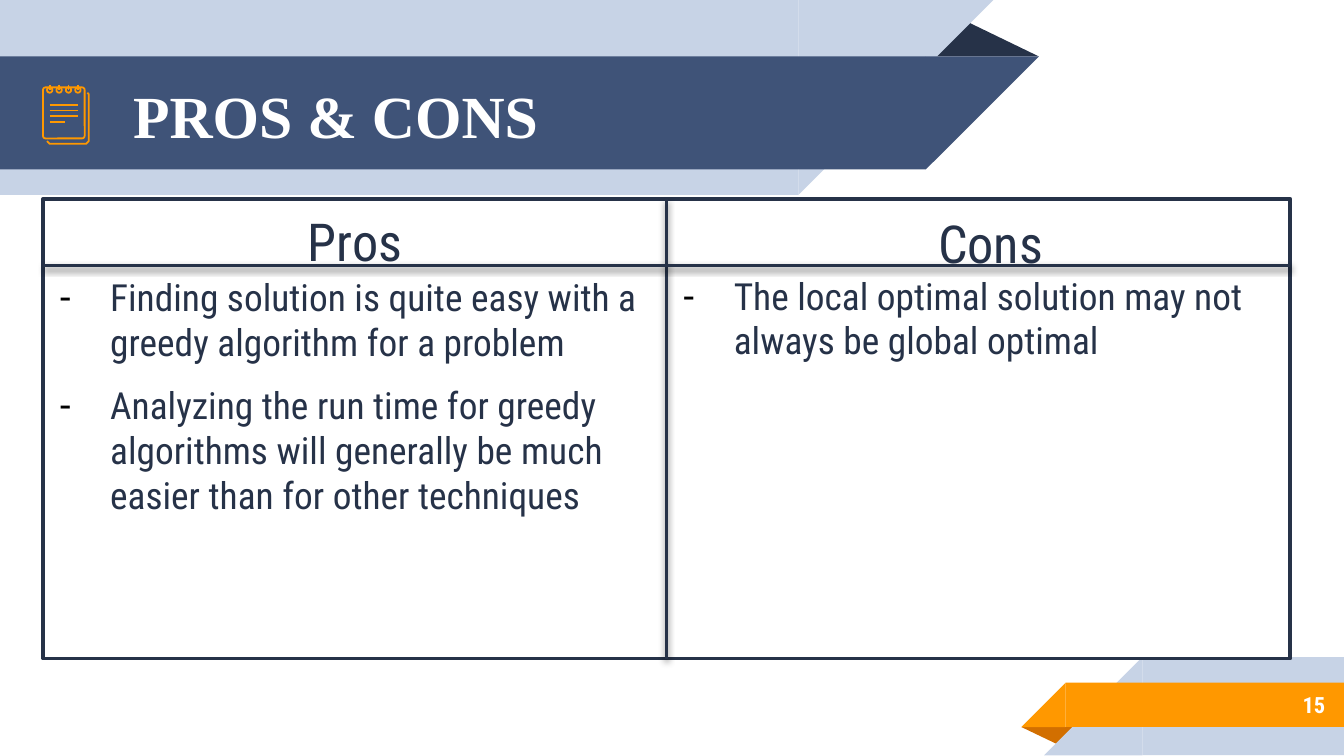
from dataclasses import dataclass

from lxml import etree
from pptx import Presentation
from pptx.dml.color import RGBColor
from pptx.enum.shapes import MSO_CONNECTOR, MSO_SHAPE
from pptx.enum.text import MSO_ANCHOR, MSO_AUTO_SIZE, PP_ALIGN
from pptx.oxml.ns import qn
from pptx.util import Inches, Pt

COLOURS = {"navy": "263248", "blue": "3F5378", "pale": "C7D3E6", "orange": "FF9800",
           "rust": "D26F00", "white": "FFFFFF", "black": "000000"}
RECTANGLE, ROUNDED = MSO_SHAPE.RECTANGLE, MSO_SHAPE.ROUNDED_RECTANGLE
RIGHT_TRIANGLE, TRIANGLE, OVAL = MSO_SHAPE.RIGHT_TRIANGLE, MSO_SHAPE.ISOSCELES_TRIANGLE, MSO_SHAPE.OVAL
STRAIGHT = MSO_CONNECTOR.STRAIGHT
TOP, MIDDLE = MSO_ANCHOR.TOP, MSO_ANCHOR.MIDDLE
LEFT, RIGHT = PP_ALIGN.LEFT, PP_ALIGN.RIGHT
FIXED, GROW = MSO_AUTO_SIZE.NONE, MSO_AUTO_SIZE.SHAPE_TO_FIT_TEXT
COMPARISON_LAYOUT = 4
SLIDE_WIDTH = Inches(10)
SLIDE_HEIGHT = SLIDE_WIDTH * 9 // 16
UNIT = SLIDE_WIDTH / 100
SANS, SERIF = "Roboto Condensed", "Times New Roman"

TITLE_FORMAT = {"name": SERIF, "size": Pt(32), "bold": True}
NUMBER_FORMAT = {"name": SANS, "size": Pt(12), "bold": True}
HEADING_FORMAT = {"name": SANS, "size": Pt(28), "bold": False}
LIST_FORMAT = {"name": SANS, "size": Pt(20), "bold": False}


@dataclass
class Box:
    """An area measured in hundredths of the slide's width."""
    left: float
    top: float
    width: float
    height: float

    def inner(self, left, top, width, height):
        """Return an area offset from this one's corner."""
        return Box(self.left + left, self.top + top, width, height)

    def lengths(self):
        """Return left, top, width and height as slide lengths."""
        return [round(value * UNIT) for value in (self.left, self.top, self.width, self.height)]


def colour(name):
    """Return a palette colour."""
    return RGBColor.from_string(COLOURS[name])


def set_paint(shape, fill=None, line=None, weight=0.96):
    """Set fill and outline, and remove the shadow."""
    shape.shadow.inherit = False
    if fill:
        shape.fill.solid()
        shape.fill.fore_color.rgb = colour(fill)
    else:
        shape.fill.background()
    if line:
        shape.line.color.rgb = colour(line)
        shape.line.width = Pt(weight)
    else:
        shape.line.fill.background()


def add_plain(shapes, kind, box, **paint):
    """Add a painted preset shape."""
    shape = shapes.add_shape(kind, *box.lengths())
    set_paint(shape, **paint)
    return shape


def add_rule(shapes, start, end, line, weight=0.96, shadowed=False):
    """Add a straight line between two grid points."""
    rule = shapes.add_connector(STRAIGHT, *[round(value * UNIT) for value in (*start, *end)])
    rule.line.color.rgb = colour(line)
    rule.line.width = Pt(weight)
    effects = etree.SubElement(rule._element.spPr, qn("a:effectLst"))
    if shadowed:
        shadow = etree.SubElement(effects, qn("a:outerShdw"), blurRad="40000", dist="20000",
                                  dir="5400000", rotWithShape="0")
        tint = etree.SubElement(shadow, qn("a:srgbClr"), val=COLOURS["black"])
        etree.SubElement(tint, qn("a:alpha"), val="38000")


def add_ribbon(shapes, box, fill, points_right):
    """Draw a band whose free end is cut at 45 degrees."""
    slope, body = box.height, box.width - box.height
    body_left, end_left = (0, body) if points_right else (slope, 0)
    add_plain(shapes, RECTANGLE, box.inner(body_left, 0, body, slope), fill=fill)
    end = add_plain(shapes, RIGHT_TRIANGLE, box.inner(end_left, 0, slope, slope), fill=fill)
    end._element.spPr.find(qn("a:xfrm")).set("flipH", "1")
    end.rotation = 180 if points_right else 0


def add_fold(shapes, box, fill, rotation):
    """Draw the shaded fold behind a ribbon."""
    fold = add_plain(shapes, TRIANGLE, box, fill=fill)
    fold.adjustments[0] = 0.32
    fold.rotation = rotation


def set_text(slide, shape, box, texts, ink, font, frame, paragraph_format, bullet=None):
    """Place a text shape in front and fill it with formatted paragraphs."""
    slide.shapes._spTree.append(shape._element)
    shape.left, shape.top, shape.width, shape.height = box.lengths()
    text_frame = shape.text_frame
    for name, value in frame.items():
        setattr(text_frame, name, value)
    for index, text in enumerate(texts):
        paragraph = text_frame.paragraphs[0] if index == 0 else text_frame.add_paragraph()
        if bullet:
            properties = paragraph._p.get_or_add_pPr()
            properties.set("marL", str(Inches(0.38)))
            properties.set("indent", str(-Inches(0.38)))
            bullet_colour = etree.SubElement(properties, qn("a:buClr"))
            etree.SubElement(bullet_colour, qn("a:srgbClr"), val=COLOURS["black"])
            etree.SubElement(properties, qn("a:buChar"), char=bullet)
        for name, value in paragraph_format.items():
            setattr(paragraph, name, value)
        run = paragraph.add_run()
        run.text = text
        run.font.color.rgb = colour(ink)
        for name, value in font.items():
            setattr(run.font, name, value)


def even_frame():
    """Return frame values with equal margins and middle anchoring."""
    margins = {f"margin_{side}": Inches(0.1) for side in ("left", "top", "right", "bottom")}
    return {**margins, "vertical_anchor": MIDDLE, "word_wrap": True, "auto_size": FIXED}


def add_notepad(slide, box):
    """Draw the outlined notepad icon."""
    shapes = slide.shapes.add_group_shape().shapes
    width, height = box.width, box.height
    outline = [(0.3, height - 0.2), (0.5, height), (width - 0.2, height),
               (width, height - 0.2), (width, 0.7), (width - 0.1, 0.6)]
    points = [(round((box.left + x) * UNIT), round((box.top + y) * UNIT)) for x, y in outline]
    builder = shapes.build_freeform(*points[0])
    builder.add_line_segments(points[1:], close=False)
    set_paint(builder.convert_to_shape(), line="orange")
    page = add_plain(shapes, ROUNDED, box.inner(0, 0.2, 3.1, 3.8), line="orange")
    page.adjustments[0] = 0.06
    for ring in range(4):
        centre = box.left + 0.5 + 0.7 * ring
        add_plain(shapes, OVAL, Box(centre - 0.2, box.top + 0.2, 0.4, 0.4), line="orange")
        add_rule(shapes, (centre, box.top), (centre, box.top + 0.4), "orange")
    for row, length in enumerate((2.1, 2.1, 2.1, 1.1)):
        level = box.top + 1.5 + 0.43 * row
        add_rule(shapes, (box.left + 0.5, level), (box.left + 0.5 + length, level), "orange")


def add_banner(slide, box, title):
    """Draw the title ribbon, its icon and the title."""
    shapes = slide.shapes.add_group_shape().shapes
    add_fold(shapes, box.inner(68.8, 1.4, 8.5, 2.8), "navy", 0)
    add_ribbon(shapes, box.inner(0, 0, 73.9, box.height), "pale", True)
    add_ribbon(shapes, box.inner(0, 4.2, box.width, 8.4), "blue", True)
    add_notepad(slide, box.inner(3.2, 6.3, 3.4, 4.4))
    set_text(slide, slide.shapes.title, box.inner(8.9, 4.3, 57.5, 8.4), [title], "white",
             TITLE_FORMAT, even_frame(), {"alignment": LEFT})


def add_footer(slide, box, number):
    """Draw the corner ribbon with the slide number."""
    shapes = slide.shapes.add_group_shape().shapes
    add_fold(shapes, box.inner(0, 5.2, 4.3, 1.4), "rust", 180)
    add_ribbon(shapes, box.inner(1.7, 0, box.width - 1.7, box.height), "pale", False)
    add_ribbon(shapes, box.inner(0, 1.9, box.width, 3.3), "orange", False)
    area = box.inner(7.3, 1.8, 16.3, 3.5)
    set_text(slide, slide.shapes.add_textbox(*area.lengths()), area, [number], "white",
             NUMBER_FORMAT, even_frame(), {"alignment": RIGHT})


def add_comparison(slide, box, columns):
    """Draw the two-column frame with headings and lists."""
    header, column_width = 4.95, box.width / 2
    middle, divider = box.left + column_width, box.top + header
    add_plain(slide.shapes, RECTANGLE, box, fill="white", line="navy", weight=2)
    for start, end in (((middle, box.top), (middle, box.top + box.height)),
                       ((box.left, divider), (box.left + box.width, divider))):
        add_rule(slide.shapes, start, end, "navy", 2, shadowed=True)
    frame = {"vertical_anchor": TOP, "auto_size": GROW}
    spacing = {"alignment": LEFT, "space_before": Pt(0), "space_after": Pt(10)}
    for index, (heading, heading_area, items, list_area) in enumerate(columns):
        column = box.inner(index * column_width, 0, column_width, box.height)
        heading_shape, list_shape = [slide.placeholders[2 * index + offset] for offset in (1, 2)]
        set_text(slide, heading_shape, column.inner(*heading_area), [heading], "navy",
                 HEADING_FORMAT, {**frame, "word_wrap": False}, spacing)
        set_text(slide, list_shape, column.inner(*list_area), items, "navy",
                 LIST_FORMAT, {**frame, "word_wrap": True}, spacing, bullet="-")


def main():
    """Build and save the slide."""
    presentation = Presentation()
    presentation.slide_width, presentation.slide_height = SLIDE_WIDTH, SLIDE_HEIGHT
    slide = presentation.slides.add_slide(presentation.slide_layouts[COMPARISON_LAYOUT])
    add_banner(slide, Box(0, 0, 77.3, 14.5), "PROS & CONS")
    add_footer(slide, Box(76, 48.9, 24, 7.3), "15")
    add_comparison(slide, Box(3.2, 14.8, 92.8, 34.2), [
        ("Pros", (18.7, 0.3, 9.1, 5.7),
         ["Finding solution is quite easy with a greedy algorithm for a problem",
          "Analyzing the run time for greedy algorithms will generally be much easier "
          "than for other techniques"], (0.2, 5.1, 46, 19.2)),
        ("Cons", (19.2, 0.4, 9.9, 5.7),
         ["The local optimal solution may not always be global optimal"], (0.2, 5, 46, 7.7)),
    ])
    presentation.save("out.pptx")


if __name__ == "__main__":
    main()
